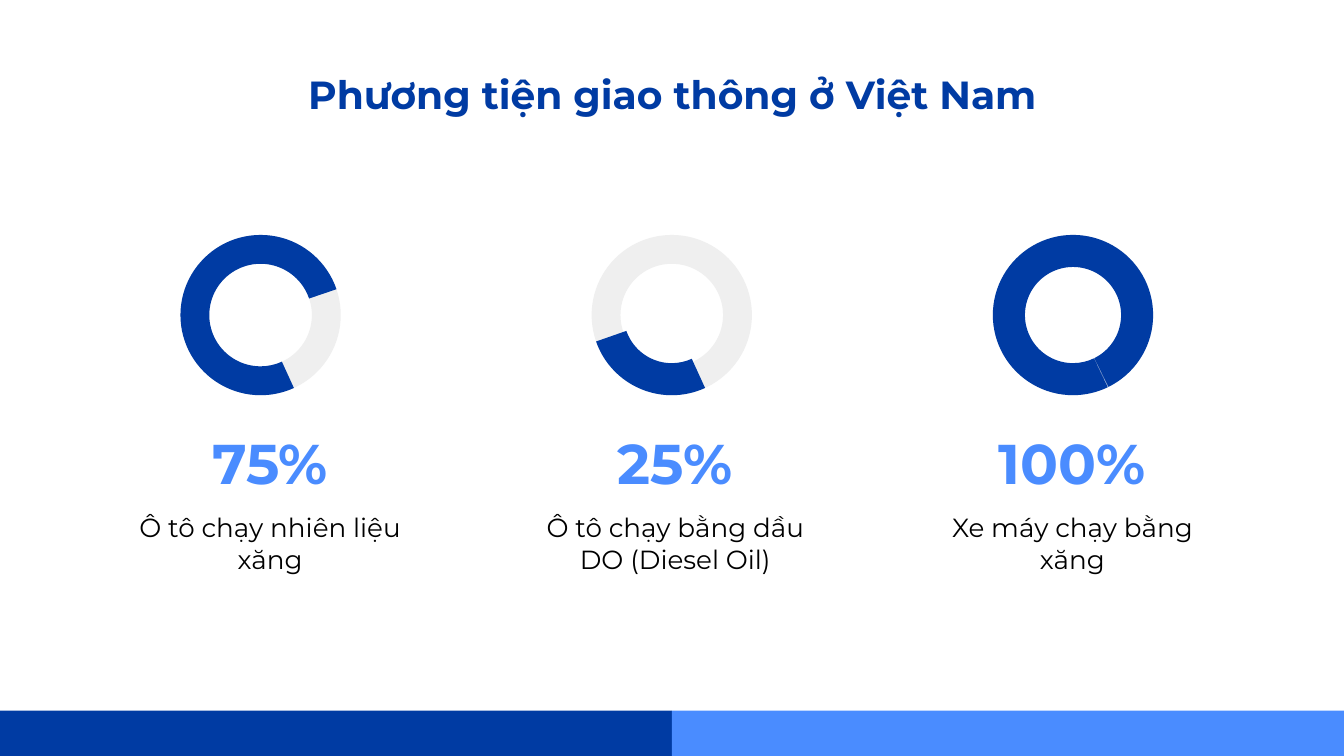
from pptx import Presentation
from pptx.dml.color import RGBColor
from pptx.enum.shapes import MSO_SHAPE
from pptx.enum.text import MSO_ANCHOR, PP_ALIGN
from pptx.util import Pt

RECTANGLE = MSO_SHAPE.RECTANGLE
DONUT = MSO_SHAPE.DONUT
BLOCK_ARC = MSO_SHAPE.BLOCK_ARC
TOP = MSO_ANCHOR.TOP
MIDDLE = MSO_ANCHOR.MIDDLE
CENTER = PP_ALIGN.CENTER

FONT = "Montserrat"
NAVY, SKY, GREY, BLACK = "003BA3", "4A8CFF", "EFEFEF", "000000"
SLIDE_WIDTH, SLIDE_HEIGHT = 960, 540
BAR_HEIGHT = 32.4
INSET = 9.6
RING_TOP, RING_SIZE = 167.8, 114.5
LABEL_WIDTH, LABEL_HEIGHT = 227.5, 67.7

VEHICLES = [
    ("75%", "Ô tô chạy nhiên liệu xăng", 79.2, 128.9, (39.26, 204.71, 0.18)),
    ("25%", "Ô tô chạy bằng dầu DO (Diesel Oil)", 368.6, 422.6, (39.26, 96.46, 0.2)),
    ("100%", "Xe máy chạy bằng xăng", 652.3, 709.2, (38.53, 38.23, 0.2)),
]


def color(value):
    return RGBColor.from_string(value)


def add_figure(page, kind, left, top, width, height, fill, adjustments=()):
    shape = page.shapes.add_shape(kind, Pt(left), Pt(top), Pt(width), Pt(height))
    shape.shadow.inherit = False
    shape.fill.solid()
    shape.fill.fore_color.rgb = color(fill)
    shape.line.fill.background()
    for index, value in enumerate(adjustments):
        shape.adjustments[index] = value


def add_text(page, text, left, top, width, height, size, ink, bold=False, anchor=TOP):
    box = page.shapes.add_textbox(Pt(left), Pt(top), Pt(width), Pt(height))
    frame = box.text_frame
    frame.word_wrap = True
    frame.vertical_anchor = anchor
    frame.margin_left = frame.margin_right = Pt(INSET)
    frame.margin_top = frame.margin_bottom = Pt(INSET)
    para = frame.paragraphs[0]
    para.alignment = CENTER
    span = para.add_run()
    span.text = text
    span.font.name = FONT
    span.font.size = Pt(size)
    span.font.bold = bold
    span.font.color.rgb = color(ink)


def add_vehicle(page, share, label, label_left, ring_left, arc):
    ring_place = (ring_left, RING_TOP, RING_SIZE, RING_SIZE)
    add_figure(page, DONUT, *ring_place, GREY, (0.18,))
    add_figure(page, BLOCK_ARC, *ring_place, NAVY, arc)
    add_text(page, share, label_left, 295.9, LABEL_WIDTH, LABEL_HEIGHT, 40, SKY, True, MIDDLE)
    add_text(page, label, label_left, 355.7, LABEL_WIDTH, LABEL_HEIGHT, 18.7, BLACK)


def main():
    deck = Presentation()
    deck.slide_width, deck.slide_height = Pt(SLIDE_WIDTH), Pt(SLIDE_HEIGHT)
    page = deck.slides.add_slide(deck.slide_layouts[6])
    half = SLIDE_WIDTH / 2
    for index, fill in enumerate((NAVY, SKY)):
        add_figure(page, RECTANGLE, index * half, SLIDE_HEIGHT - BAR_HEIGHT, half, BAR_HEIGHT, fill)
    add_text(page, "Phương tiện giao thông ở Việt Nam", 75.6, 40.3, 809.3, 67.7, 28, NAVY, True)
    for vehicle in VEHICLES:
        add_vehicle(page, *vehicle)
    deck.save("out.pptx")


if __name__ == "__main__":
    main()
